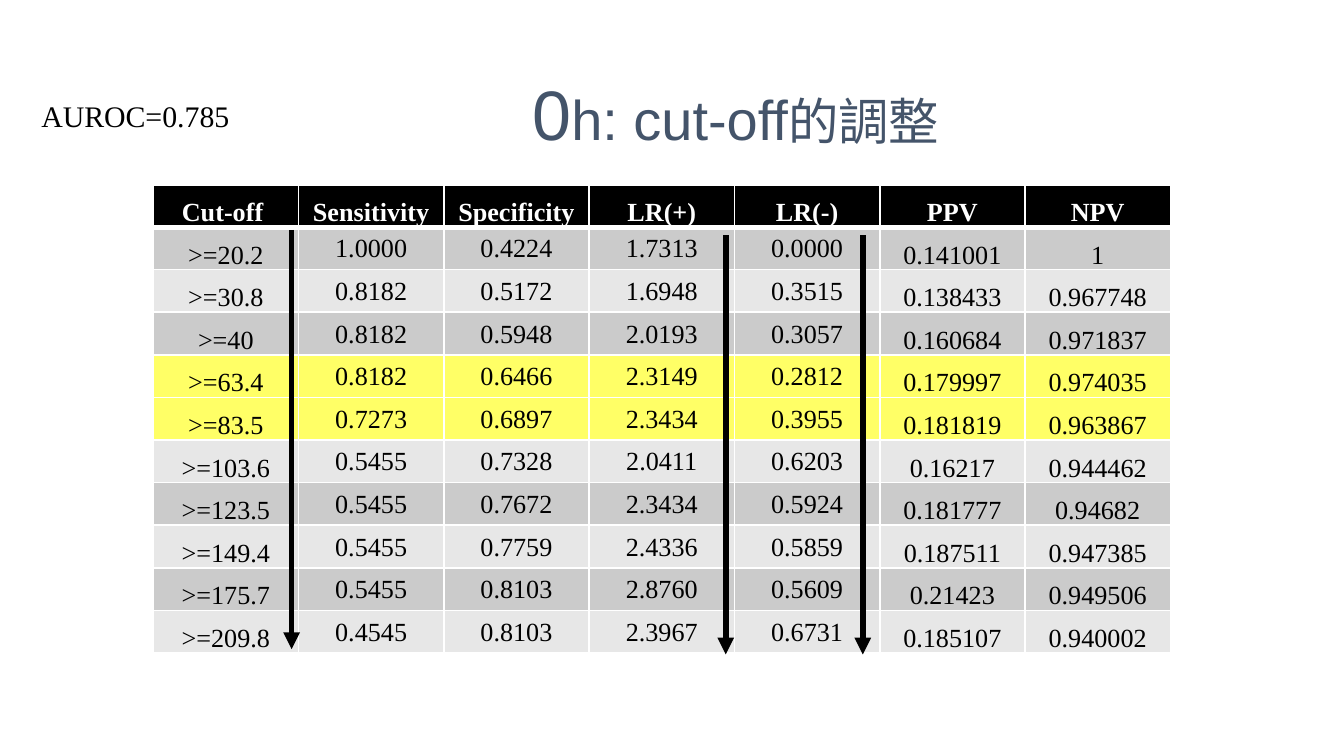
"""Build a slide with a table of diagnostic accuracy by cut-off value."""
import dataclasses

import lxml.etree
import pptx
import pptx.dml.color
import pptx.enum.dml
import pptx.enum.shapes
import pptx.enum.text
import pptx.oxml.ns
import pptx.util

Inches = pptx.util.Inches
Pt = pptx.util.Pt
Anchor = pptx.enum.text.MSO_ANCHOR
Align = pptx.enum.text.PP_ALIGN


@dataclasses.dataclass(frozen=True)
class Theme:
    black: str = "000000"
    white: str = "FFFFFF"
    slate: str = "44546A"
    dark_band: str = "CBCBCB"
    light_band: str = "E7E7E7"
    highlight: str = "FFFF66"
    heading_font: str = "Arial"
    body_font: str = "Times New Roman"
    title_sizes: tuple = (37.5, 30, 27)
    note_size: float = 16
    table_size: float = 14
    thin: float = 1
    thick: float = 3


theme = Theme()


def add_run(paragraph, text, color, **font_values):
    run = paragraph.add_run()
    run.text = text
    for name, value in font_values.items():
        setattr(run.font, name, value)
    run.font.color.rgb = pptx.dml.color.RGBColor.from_string(color)


def add_element(parent, tag, **attributes):
    return lxml.etree.SubElement(parent, pptx.oxml.ns.qn(tag), attributes)


presentation = pptx.Presentation()
presentation.slide_width = Inches(10)
presentation.slide_height = Inches(10 * 9 / 16)
slide = presentation.slides.add_slide(presentation.slide_layouts[6])

headers = ["Cut-off ", "Sensitivity", "Specificity", "LR(+)", "LR(-)", "PPV", "NPV"]
results = [
    [">=20.2", "1.0000", "0.4224", "1.7313", "0.0000", "0.141001", "1"],
    [">=30.8", "0.8182", "0.5172", "1.6948", "0.3515", "0.138433", "0.967748"],
    [">=40", "0.8182", "0.5948", "2.0193", "0.3057", "0.160684", "0.971837"],
    [">=63.4", "0.8182", "0.6466", "2.3149", "0.2812", "0.179997", "0.974035"],
    [">=83.5", "0.7273", "0.6897", "2.3434", "0.3955", "0.181819", "0.963867"],
    [">=103.6", "0.5455", "0.7328", "2.0411", "0.6203", "0.16217", "0.944462"],
    [">=123.5", "0.5455", "0.7672", "2.3434", "0.5924", "0.181777", "0.94682"],
    [">=149.4", "0.5455", "0.7759", "2.4336", "0.5859", "0.187511", "0.947385"],
    [">=175.7", "0.5455", "0.8103", "2.8760", "0.5609", "0.21423", "0.949506"],
    [">=209.8", "0.4545", "0.8103", "2.3967", "0.6731", "0.185107", "0.940002"],
]
rows = [headers] + results
highlighted_rows = (4, 5)
centered_columns = range(1, 5)
table_width, table_height, header_height = 7.57, 3.48, 0.31

table = slide.shapes.add_table(
    len(rows), len(headers),
    Inches(1.14), Inches(1.38), Inches(table_width), Inches(table_height),
).table
for column in table.columns:
    column.width = Inches(table_width / len(headers))
for row in table.rows:
    row.height = Inches((table_height - header_height) / len(results))
table.rows[0].height = Inches(header_height)

for row_index, values in enumerate(rows):
    is_header = row_index == 0
    if is_header:
        fill_color = theme.black
    elif row_index in highlighted_rows:
        fill_color = theme.highlight
    else:
        fill_color = theme.dark_band if row_index % 2 else theme.light_band
    border_widths = {
        "a:lnL": theme.thin,
        "a:lnR": theme.thin,
        "a:lnT": theme.thick if row_index == 1 else theme.thin,
        "a:lnB": theme.thick if is_header else theme.thin,
    }
    for column_index, text in enumerate(values):
        cell = table.cell(row_index, column_index)
        is_centered = not is_header and column_index in centered_columns
        cell_format = {
            "margin_left": Inches(0.01),
            "margin_right": Inches(0.01),
            "margin_top": Inches(0.01),
            "margin_bottom": 0,
            "vertical_anchor": Anchor.MIDDLE if is_centered else Anchor.BOTTOM,
        }
        for name, value in cell_format.items():
            setattr(cell, name, value)
        properties = cell._tc.get_or_add_tcPr()
        for tag, width in border_widths.items():
            border = add_element(properties, tag, w=str(Pt(width)))
            add_element(add_element(border, "a:solidFill"), "a:srgbClr", val=theme.white)
        cell.fill.solid()
        cell.fill.fore_color.rgb = pptx.dml.color.RGBColor.from_string(fill_color)
        paragraph = cell.text_frame.paragraphs[0]
        paragraph.alignment = Align.CENTER
        add_run(paragraph, text, theme.white if is_header else theme.black,
                name=theme.body_font, size=Pt(theme.table_size), bold=is_header)

arrow_length = 3.12
for arrow_x, arrow_top in [(2.17, 1.71), (5.4, 1.75), (6.42, 1.75)]:
    arrow = slide.shapes.add_connector(
        pptx.enum.shapes.MSO_CONNECTOR.STRAIGHT,
        Inches(arrow_x), Inches(arrow_top),
        Inches(arrow_x), Inches(arrow_top + arrow_length),
    )
    arrow.line.color.rgb = pptx.dml.color.RGBColor.from_string(theme.black)
    arrow.line.width = Pt(theme.thick)
    add_element(arrow.line._get_or_add_ln(), "a:tailEnd", type="triangle")
    add_element(arrow._element.spPr, "a:effectLst")

title = slide.shapes.add_textbox(Inches(2.24), Inches(0.29), Inches(6.47), Inches(1.09))
title_format = {"word_wrap": True, "vertical_anchor": Anchor.MIDDLE}
for name, value in title_format.items():
    setattr(title.text_frame, name, value)
title_paragraph = title.text_frame.paragraphs[0]
title_paragraph.alignment = Align.CENTER
for text, size in zip(("0", "h: cut-off", "的調整"), theme.title_sizes):
    add_run(title_paragraph, text, theme.slate, name=theme.heading_font, size=Pt(size))

note = slide.shapes.add_textbox(Inches(0.21), Inches(0.68), Inches(1.64), Inches(0.37))
note_format = {"word_wrap": True, "auto_size": pptx.enum.text.MSO_AUTO_SIZE.SHAPE_TO_FIT_TEXT}
for name, value in note_format.items():
    setattr(note.text_frame, name, value)
add_run(note.text_frame.paragraphs[0], "AUROC=0.785", theme.black,
        name=theme.body_font, size=Pt(theme.note_size))

presentation.save("out.pptx")
